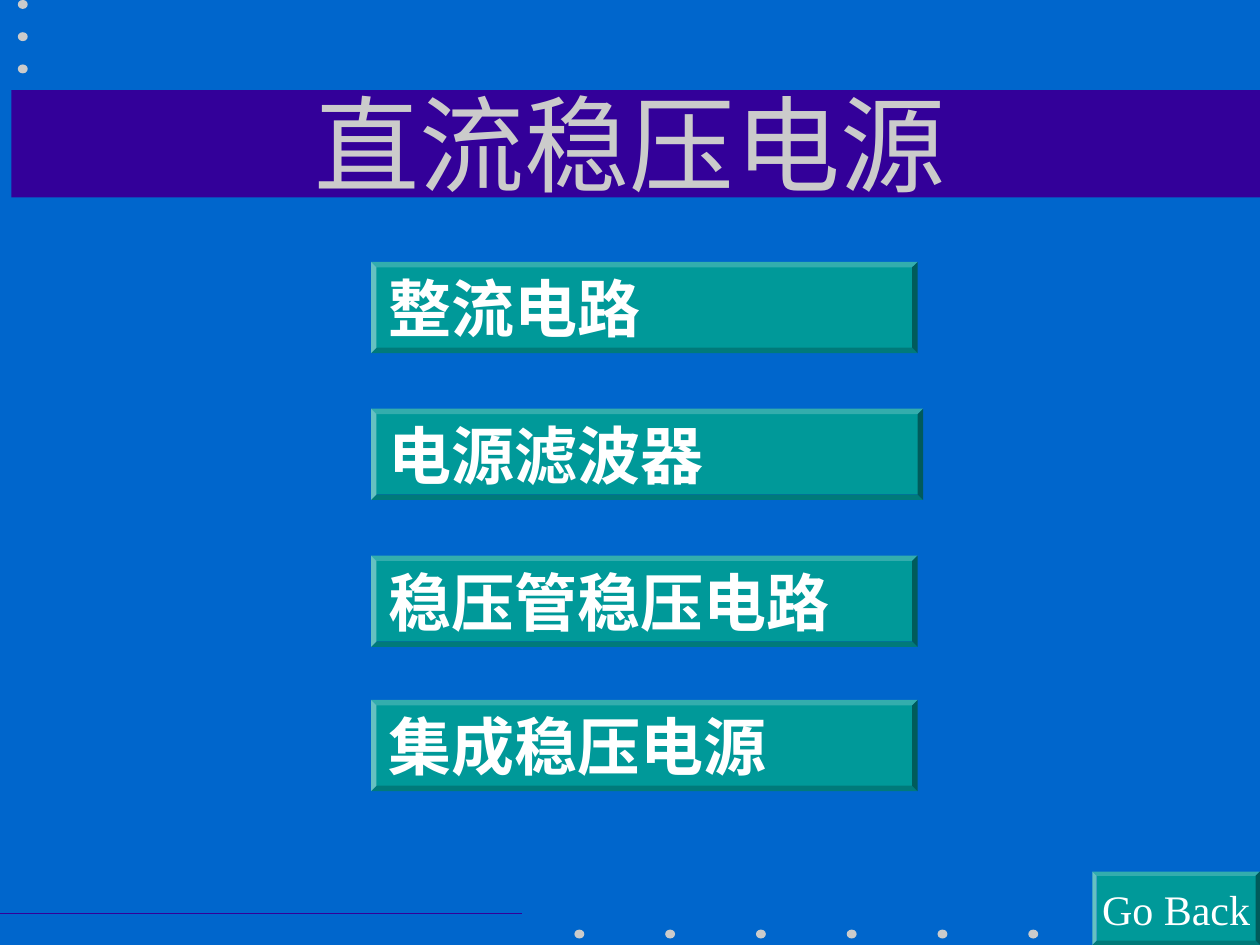
"""Build the menu slide for the chapter on DC regulated power supplies."""
from dataclasses import dataclass

from lxml.etree import SubElement
from pptx import Presentation
from pptx.dml.color import RGBColor
from pptx.enum.shapes import MSO_CONNECTOR, MSO_SHAPE
from pptx.enum.text import MSO_ANCHOR, PP_ALIGN
from pptx.oxml.ns import qn
from pptx.util import Cm, Pt


@dataclass(frozen=True)
class Theme:
    background: RGBColor = RGBColor(0x00, 0x66, 0xCC)
    band: RGBColor = RGBColor(0x33, 0x00, 0x99)
    button: RGBColor = RGBColor(0x00, 0x99, 0x99)
    pale: RGBColor = RGBColor(0xCB, 0xCB, 0xCB)
    label: RGBColor = RGBColor(0xFF, 0xFF, 0xFF)
    font: str = "Times New Roman"
    title_size: int = 60
    topic_size: int = 36
    back_size: int = 24


THEME = Theme()


def add_filled(slide, preset, left, top, width, height, color):
    filled = slide.shapes.add_shape(preset, Cm(left), Cm(top), Cm(width), Cm(height))
    filled.shadow.inherit = False
    filled.fill.solid()
    filled.fill.fore_color.rgb = color
    filled.line.fill.background()
    return filled


def write_text(holder, wording, size, color, align, bold=False, wrap=True):
    frame = holder.text_frame
    frame.text = wording
    frame.word_wrap = wrap
    paragraph = frame.paragraphs[0]
    paragraph.alignment = align
    font = paragraph.runs[0].font
    font.name = THEME.font
    font.size = Pt(size)
    font.bold = bold
    font.color.rgb = color


def add_dots(slide, left, top, count, step_x=0, step_y=0):
    for index in range(count):
        add_filled(slide, MSO_SHAPE.OVAL, left + index * step_x, top + index * step_y,
                   0.2, 0.18, THEME.pale)


def add_footer_rule(slide, top, width):
    rule = slide.shapes.add_connector(MSO_CONNECTOR.STRAIGHT, 0, Cm(top), Cm(width), Cm(top))
    rule.line.color.rgb = THEME.band
    rule.line.width = Pt(0.5)
    SubElement(rule._element.spPr, qn("a:effectLst"))


def add_title(slide, wording):
    title = slide.shapes.add_textbox(Cm(1.9), Cm(1.47), Cm(21.6), Cm(3.18))
    write_text(title, wording, THEME.title_size, THEME.pale, PP_ALIGN.CENTER)


def add_button(slide, wording, left, top, width, height, size, align, **text_options):
    button = add_filled(slide, MSO_SHAPE.BEVEL, left, top, width, height, THEME.button)
    button.adjustments[0] = 0.06
    button.text_frame.vertical_anchor = MSO_ANCHOR.MIDDLE
    write_text(button, wording, size, THEME.label, align, **text_options)


def main():
    deck = Presentation()
    deck.slide_width, deck.slide_height = Cm(25.4), Cm(19.05)
    slide = deck.slides.add_slide(deck.slide_layouts[6])
    slide.background.fill.solid()
    slide.background.fill.fore_color.rgb = THEME.background

    add_footer_rule(slide, 18.41, 10.52)
    add_dots(slide, 11.58, 18.74, 6, step_x=1.83)
    add_filled(slide, MSO_SHAPE.RECTANGLE, 0.23, 1.82, 25.17, 2.16, THEME.band)
    add_dots(slide, 0.36, 0, 3, step_y=0.65)
    add_title(slide, "直流稳压电源")

    add_button(slide, "Go Back", 22.02, 17.57, 3.38, 1.48, THEME.back_size,
               PP_ALIGN.CENTER, wrap=False)
    topics = [
        ("整流电路", 5.28, 11.02),
        ("电源滤波器", 8.24, 11.13),
        ("稳压管稳压电路", 11.2, 11.02),
        ("集成稳压电源", 14.11, 11.02),
    ]
    for topic, top, width in topics:
        add_button(slide, topic, 7.48, top, width, 1.84, THEME.topic_size,
                   PP_ALIGN.JUSTIFY, bold=True)

    deck.save("out.pptx")


if __name__ == "__main__":
    main()
